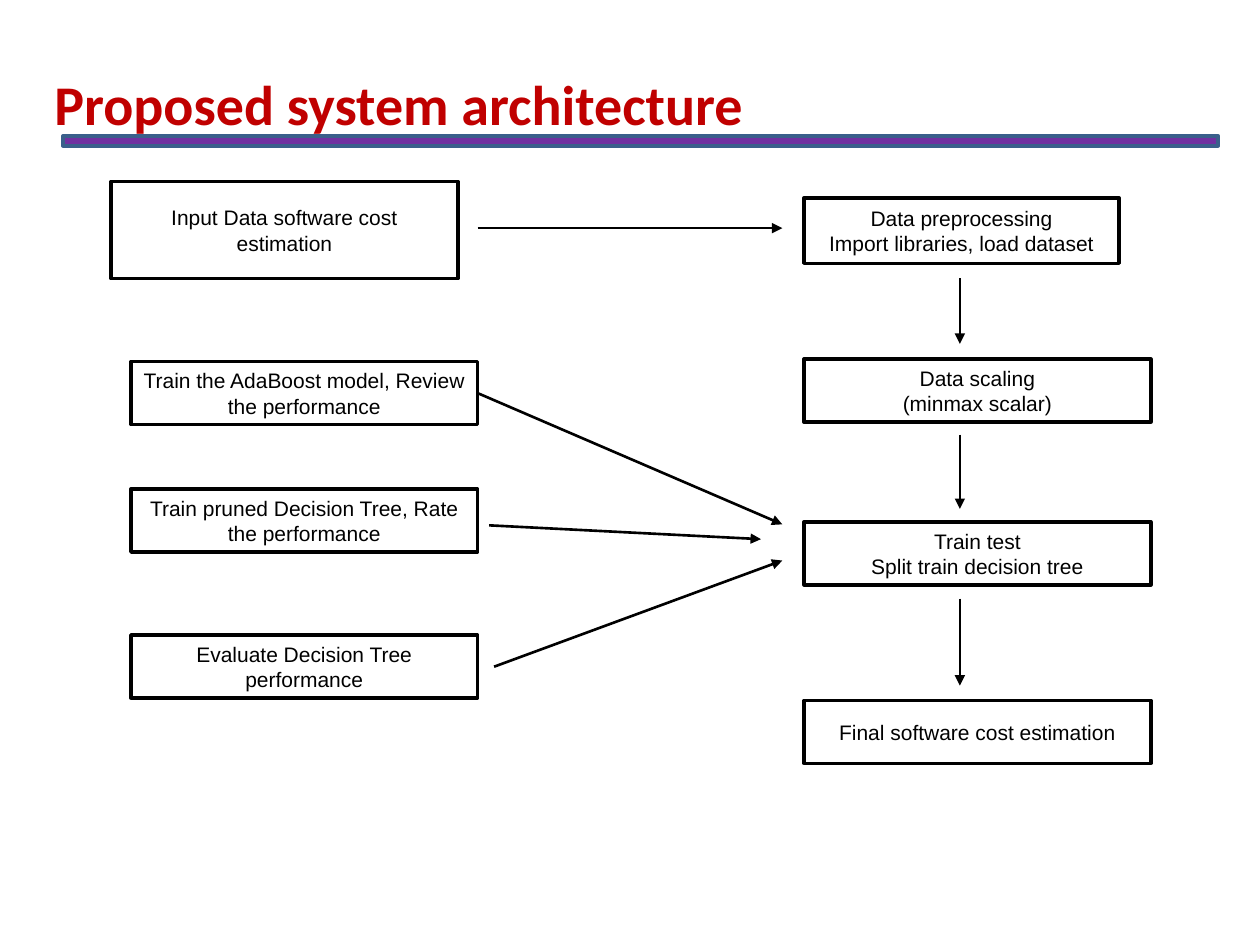
"""Build the proposed system architecture slide."""
from dataclasses import dataclass
from typing import Optional

from lxml import etree
from pptx import Presentation
from pptx.dml.color import RGBColor
from pptx.enum.shapes import MSO_CONNECTOR, MSO_SHAPE
from pptx.enum.text import MSO_ANCHOR, MSO_AUTO_SIZE, PP_ALIGN
from pptx.oxml.ns import qn
from pptx.util import Cm, Pt

RECT = MSO_SHAPE.RECTANGLE
STRAIGHT = MSO_CONNECTOR.STRAIGHT
MIDDLE = MSO_ANCHOR.MIDDLE
GROW = MSO_AUTO_SIZE.SHAPE_TO_FIT_TEXT
LEFT, CENTER = PP_ALIGN.LEFT, PP_ALIGN.CENTER
RIGHT_SIDE = 3


@dataclass(frozen=True)
class Theme:
    title: RGBColor = RGBColor(0xC0, 0x00, 0x00)
    bar: RGBColor = RGBColor(0x70, 0x30, 0xA0)
    bar_line: RGBColor = RGBColor(0x3A, 0x5F, 0x8B)
    ink: RGBColor = RGBColor(0, 0, 0)
    paper: RGBColor = RGBColor(0xFF, 0xFF, 0xFF)
    title_font: str = "Calibri"
    body_font: str = "Arial"
    title_size: int = 32
    body_size: int = 12
    border: float = 2
    arrow: float = 1.5


@dataclass(frozen=True)
class Box:
    text: str
    x: float
    y: float
    w: float = 6.99
    h: float = 1.27


@dataclass(frozen=True)
class Arrow:
    x1: float
    y1: float
    x2: float
    y2: float
    source: Optional[str] = None


THEME = Theme()
LEFT_X, RIGHT_X = 2.64, 16.21
FLOW_X, TIP_X = 19.35, 15.77
ADABOOST = "Train the AdaBoost model, Review the performance"

BOXES = [
    Box("Input Data software cost estimation", 2.24, 3.66, h=1.96),
    Box(ADABOOST, LEFT_X, 7.29),
    Box("Train pruned Decision Tree, Rate the performance", LEFT_X, 9.86),
    Box("Evaluate Decision Tree performance", LEFT_X, 12.8),
    Box("Data preprocessing\nImport libraries, load dataset", RIGHT_X, 3.99, 6.35, 1.32),
    Box("Data scaling\n(minmax scalar)", RIGHT_X, 7.24),
    Box("Train test\nSplit train decision tree", RIGHT_X, 10.52),
    Box("Final software cost estimation", RIGHT_X, 14.12),
]
ARROWS = [
    Arrow(9.63, 4.6, TIP_X, 4.6),
    Arrow(9.63, 7.92, TIP_X, 10.57, source=ADABOOST),
    Arrow(9.86, 10.59, 15.34, 10.87),
    Arrow(9.96, 13.44, TIP_X, 11.3),
    Arrow(FLOW_X, 5.61, FLOW_X, 6.93),
    Arrow(FLOW_X, 8.76, FLOW_X, 10.26),
    Arrow(FLOW_X, 12.07, FLOW_X, 13.82),
]


def write(sp, text: str, *, font: str, size: float, color: RGBColor,
          bold: bool = False, align=CENTER) -> None:
    """Fill a shape with formatted paragraphs, one per line of text."""
    tf = sp.text_frame
    tf.word_wrap = True
    tf.vertical_anchor = MIDDLE
    for i, line in enumerate(text.split("\n")):
        p = tf.add_paragraph() if i else tf.paragraphs[0]
        p.alignment = align
        r = p.add_run()
        r.text = line
        r.font.name, r.font.size, r.font.bold = font, Pt(size), bold
        r.font.color.rgb = color


def add_rect(s, x: float, y: float, w: float, h: float, fill: RGBColor, line: RGBColor):
    """Add a flat bordered rectangle."""
    sp = s.shapes.add_shape(RECT, Cm(x), Cm(y), Cm(w), Cm(h))
    sp.shadow.inherit = False
    sp.fill.solid()
    sp.fill.fore_color.rgb = fill
    sp.line.color.rgb = line
    sp.line.width = Pt(THEME.border)
    return sp


def add_box(s, box: Box):
    """Add one step of the flow."""
    sp = add_rect(s, box.x, box.y, box.w, box.h, THEME.paper, THEME.ink)
    write(sp, box.text, font=THEME.body_font, size=THEME.body_size, color=THEME.ink)
    return sp


def add_arrow(s, arrow: Arrow, steps: dict) -> None:
    """Add an arrow, joined to its source step if it has one."""
    cx = s.shapes.add_connector(STRAIGHT, Cm(arrow.x1), Cm(arrow.y1),
                                Cm(arrow.x2), Cm(arrow.y2))
    if arrow.source:
        cx.begin_connect(steps[arrow.source], RIGHT_SIDE)
    cx.line.color.rgb = THEME.ink
    cx.line.width = Pt(THEME.arrow)
    etree.SubElement(cx.line._get_or_add_ln(), qn("a:tailEnd"), type="triangle")
    etree.SubElement(cx._element.spPr, qn("a:effectLst"))


def add_title(s, text: str) -> None:
    """Place and format the title placeholder."""
    sp = s.shapes.title
    sp.left, sp.top, sp.width, sp.height = Cm(0.84), Cm(1.27), Cm(16.31), Cm(1.63)
    write(sp, text, font=THEME.title_font, size=THEME.title_size,
          color=THEME.title, bold=True, align=LEFT)
    sp.text_frame.auto_size = GROW


def main() -> None:
    """Build and save the presentation."""
    prs = Presentation()
    prs.slide_width, prs.slide_height = Cm(25.4), Cm(19.05)
    s = prs.slides.add_slide(prs.slide_layouts[5])
    add_rect(s, 1.27, 2.74, 23.29, 0.2, THEME.bar, THEME.bar_line)
    add_title(s, "Proposed system architecture")
    steps = {box.text: add_box(s, box) for box in BOXES}
    for arrow in ARROWS:
        add_arrow(s, arrow, steps)
    prs.save("out.pptx")


if __name__ == "__main__":
    main()
